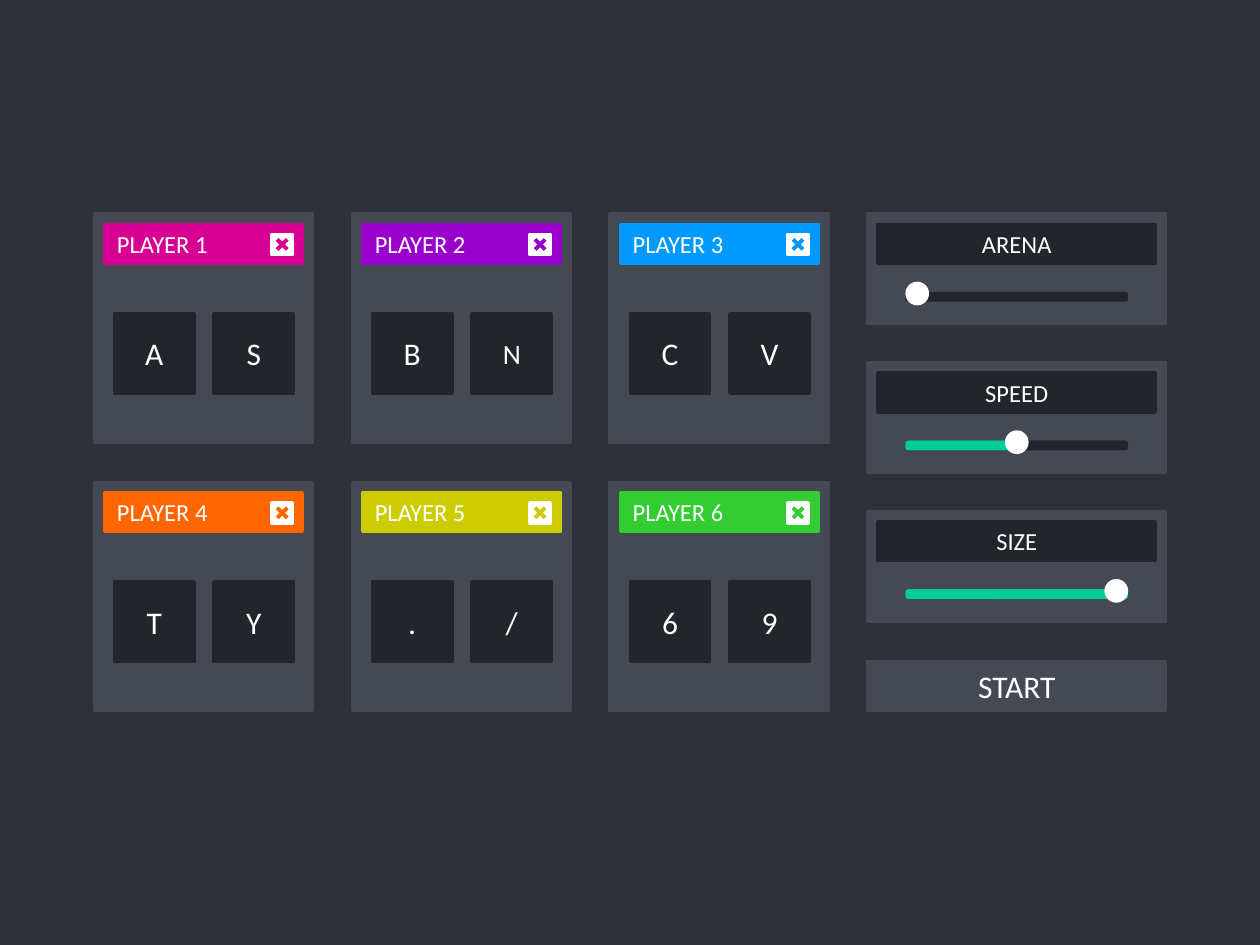
from dataclasses import dataclass

from lxml.etree import SubElement
from pptx import Presentation
from pptx.dml.color import RGBColor
from pptx.enum.shapes import MSO_CONNECTOR as Connector, MSO_SHAPE as Preset
from pptx.enum.text import MSO_ANCHOR as Anchor, PP_ALIGN as Align
from pptx.oxml.ns import qn
from pptx.util import Inches, Pt


@dataclass(frozen=True)
class Theme:
    """Colours, type sizes and line widths of the game menu."""
    backdrop: str = "2E3138"
    panel: str = "454954"
    dark: str = "22252C"
    light: str = "FFFFFF"
    progress: str = "00CC99"
    font: str = "Calibri"
    heading: int = 14
    small_key: int = 16
    large: int = 18
    outline: float = 2
    cross: float = 2.25


@dataclass(frozen=True)
class Grid:
    """Panel grid in inches: three player columns and one settings column."""
    left: float = 0.75
    top: float = 1.7
    column: float = (6.89 - 0.75) / 3
    row: float = 2.13
    setting_row: float = 1.18
    card_width: float = 1.73
    card_height: float = 1.81
    setting_width: float = 2.36
    setting_height: float = 0.87
    start_height: float = 0.39
    margin: float = 0.08
    heading_height: float = 0.31
    key: float = 0.63
    key_pitch: float = 0.79
    key_drop: float = 0.79
    mark: float = 0.16
    track_inset: float = 0.31
    track_drop: float = 0.63
    track_height: float = 0.05


THEME = Theme()
GRID = Grid()

PLAYERS = [
    ("PLAYER 1", "D60093", "AS"), ("PLAYER 2", "9900CC", "BN"), ("PLAYER 3", "0099FF", "CV"),
    ("PLAYER 4", "FF6600", "TY"), ("PLAYER 5", "CCCC00", "./"), ("PLAYER 6", "33CC33", "69"),
]
SETTINGS = [("ARENA", 0), ("SPEED", 0.5), ("SIZE", 1)]


def add_block(shapes, left, top, width, height, colour, preset=Preset.RECTANGLE):
    """Add a shape whose fill and outline share one colour."""
    block = shapes.add_shape(preset, Inches(left), Inches(top), Inches(width), Inches(height))
    block.shadow.inherit = False
    block.fill.solid()
    block.fill.fore_color.rgb = RGBColor.from_string(colour)
    block.line.color.rgb = RGBColor.from_string(colour)
    block.line.width = Pt(THEME.outline)
    return block


def write_label(block, label, size, align=Align.CENTER):
    """Write one light line of text in the middle of a block."""
    frame = block.text_frame
    frame.text = label
    frame.vertical_anchor = Anchor.MIDDLE
    line = frame.paragraphs[0]
    line.alignment = align
    font = line.runs[0].font
    font.name, font.size = THEME.font, Pt(size)
    font.color.rgb = RGBColor.from_string(THEME.light)


def add_stroke(shapes, start, end, colour):
    """Add one straight stroke of a cross."""
    stroke = shapes.add_connector(Connector.STRAIGHT, *map(Inches, start + end))
    stroke.line.color.rgb = RGBColor.from_string(colour)
    stroke.line.width = Pt(THEME.cross)
    SubElement(stroke._element.spPr, qn("a:effectLst"))


def add_close_button(slide, left, top, colour):
    """Add a grouped light square with a coloured cross."""
    parts = slide.shapes.add_group_shape().shapes
    add_block(parts, left, top, GRID.mark, GRID.mark, THEME.light)
    near, far = GRID.mark / 4, GRID.mark * 3 / 4
    add_stroke(parts, (left + far, top + far), (left + near, top + near), colour)
    add_stroke(parts, (left + far, top + near), (left + near, top + far), colour)


def add_heading(slide, left, top, panel_width, colour, label, align):
    """Add the heading bar inside the top edge of a panel."""
    bar = add_block(slide.shapes, left + GRID.margin, top + GRID.margin,
                    panel_width - 2 * GRID.margin, GRID.heading_height, colour)
    write_label(bar, label, THEME.heading, align)


def add_player(slide, left, top, name, colour, keys):
    """Add a player's card with its heading, close button and two keys."""
    add_block(slide.shapes, left, top, GRID.card_width, GRID.card_height, THEME.panel)
    add_heading(slide, left, top, GRID.card_width, colour, name, Align.LEFT)
    inset = 2 * GRID.margin
    add_close_button(slide, left + GRID.card_width - inset - GRID.mark, top + inset, colour)
    for index, letter in enumerate(keys):
        key = add_block(slide.shapes, left + inset + index * GRID.key_pitch,
                        top + GRID.key_drop, GRID.key, GRID.key, THEME.dark)
        write_label(key, letter, THEME.small_key if letter == "N" else THEME.large)


def add_setting(slide, left, top, name, share):
    """Add a setting's panel with a slider standing at the given share."""
    add_block(slide.shapes, left, top, GRID.setting_width, GRID.setting_height, THEME.panel)
    add_heading(slide, left, top, GRID.setting_width, THEME.dark, name, Align.CENTER)
    track_left, track_top = left + GRID.track_inset, top + GRID.track_drop
    length = GRID.setting_width - 2 * GRID.track_inset
    for part, colour in ((1, THEME.dark), (share, THEME.progress)):
        if part:
            add_block(slide.shapes, track_left, track_top, length * part,
                      GRID.track_height, colour, Preset.ROUNDED_RECTANGLE)
    add_block(slide.shapes, track_left + share * (length - GRID.mark),
              track_top - GRID.mark / 2, GRID.mark, GRID.mark, THEME.light, Preset.OVAL)


def main():
    """Build the menu slide and save it."""
    deck = Presentation()
    deck.slide_width, deck.slide_height = Inches(10), Inches(7.5)
    slide = deck.slides.add_slide(deck.slide_layouts[6])
    slide.background.fill.solid()
    slide.background.fill.fore_color.rgb = RGBColor.from_string(THEME.backdrop)

    for index, player in enumerate(PLAYERS):
        row, column = divmod(index, 3)
        add_player(slide, GRID.left + column * GRID.column, GRID.top + row * GRID.row, *player)

    settings_left = GRID.left + 3 * GRID.column
    for index, setting in enumerate(SETTINGS):
        add_setting(slide, settings_left, GRID.top + index * GRID.setting_row, *setting)

    bottom = GRID.top + GRID.row + GRID.card_height
    start = add_block(slide.shapes, settings_left, bottom - GRID.start_height,
                      GRID.setting_width, GRID.start_height, THEME.panel)
    write_label(start, "START", THEME.large)
    deck.save("out.pptx")


main()
